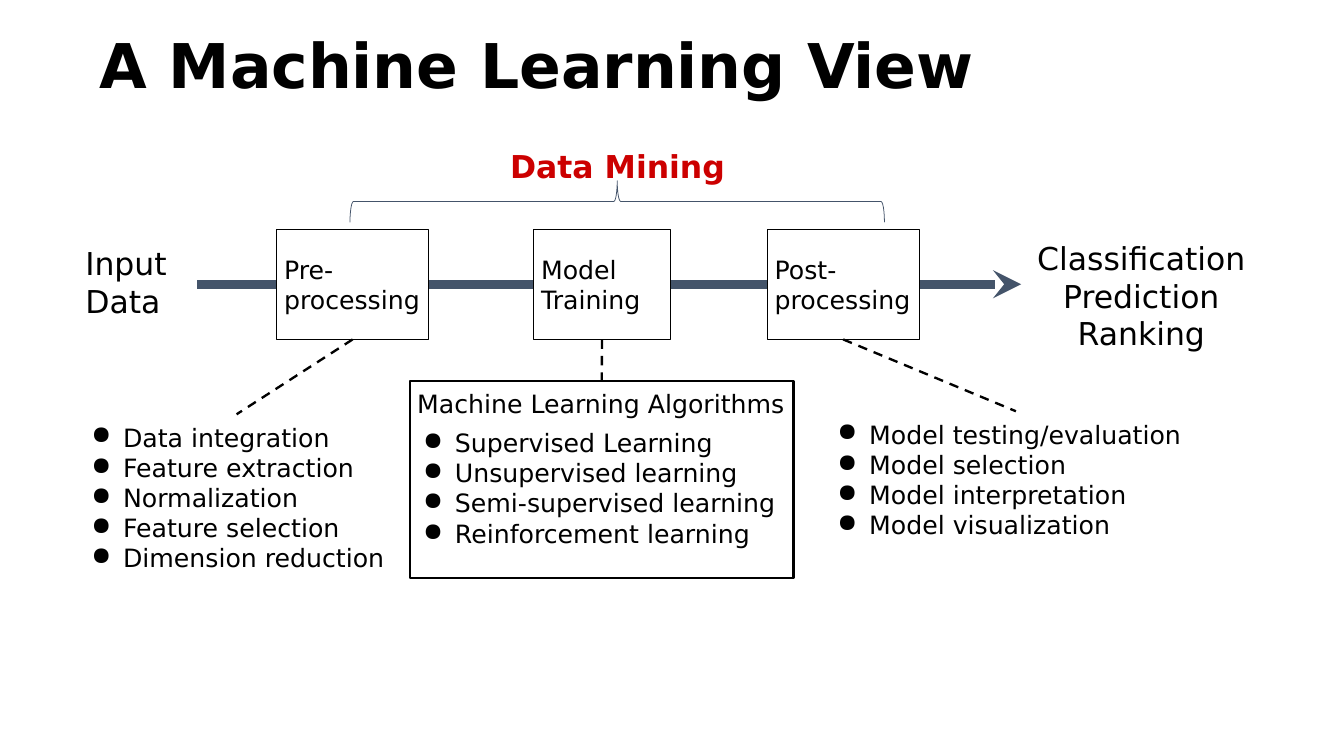
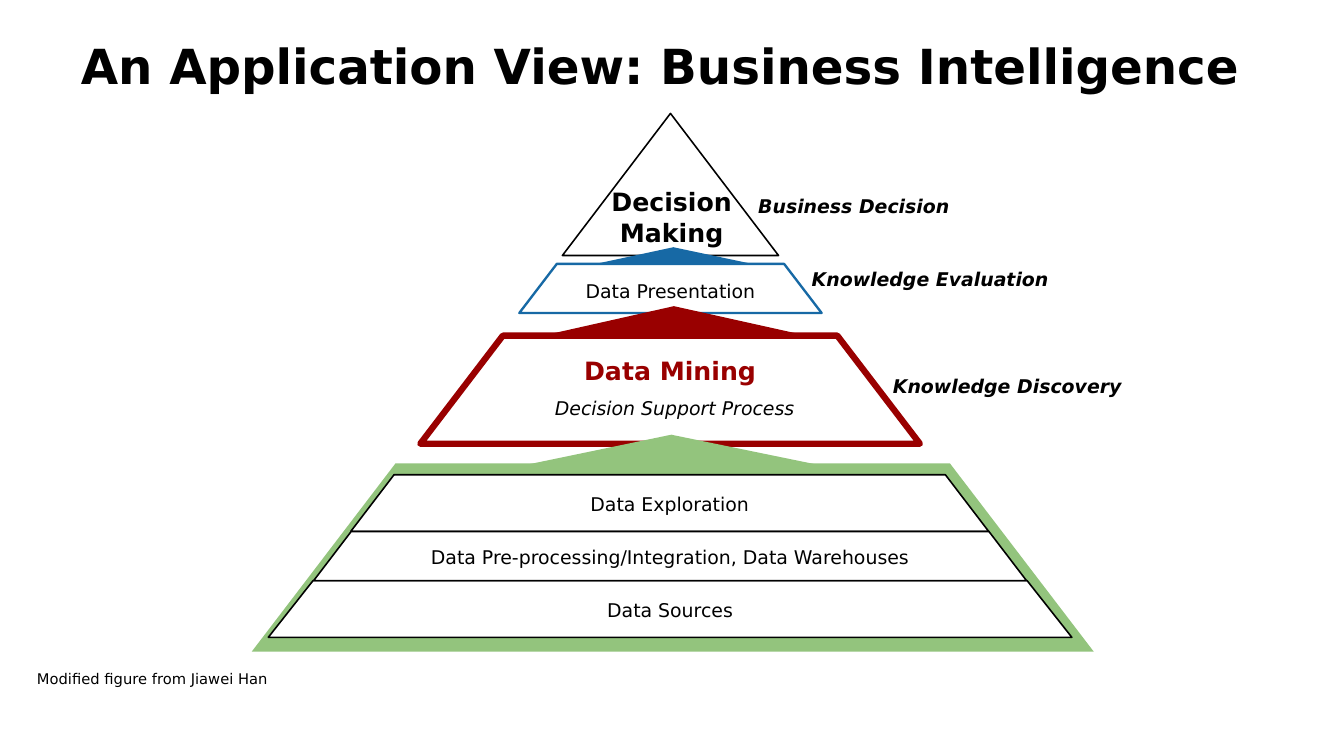
from lxml.etree import SubElement
from pptx import Presentation
from pptx.dml.color import RGBColor
from pptx.enum.dml import MSO_LINE
from pptx.enum.shapes import MSO_CONNECTOR, MSO_SHAPE as SHAPE
from pptx.enum.text import MSO_ANCHOR as ANCHOR, PP_ALIGN as ALIGN
from pptx.oxml.ns import qn
from pptx.util import Pt

PX = 9144
FONT = "DejaVu Sans"
BLACK = RGBColor(0x00, 0x00, 0x00)
WHITE = RGBColor(0xFF, 0xFF, 0xFF)
SLATE = RGBColor(0x44, 0x54, 0x6A)
RED = RGBColor(0xCC, 0x00, 0x00)
DARK_RED = RGBColor(0x99, 0x00, 0x00)
BLUE = RGBColor(0x17, 0x69, 0xA5)
GREEN = RGBColor(0x93, 0xC4, 0x7D)


def emu(*lengths):
    """Turn px lengths into EMU."""
    return [round(v * PX) for v in lengths]


def add_bullet(p):
    """Give a paragraph a hanging round bullet."""
    pPr = p._p.get_or_add_pPr()
    for name, length in {"marL": 50, "indent": -42}.items():
        pPr.set(name, str(length * PX))
    color = SubElement(pPr, qn("a:buClr"))
    SubElement(color, qn("a:srgbClr")).set("val", str(BLACK))
    SubElement(pPr, qn("a:buChar")).set("char", "●")


def write(s, lines, size, color=BLACK, bold=False, italic=False, align=ALIGN.LEFT,
          anchor=ANCHOR.TOP, inset=10, bullets_from=None, spacing=None):
    """Write one paragraph per line, with bullets from the given index on."""
    tf = s.text_frame
    side, edge = emu(10, inset)
    frame = {"word_wrap": True, "vertical_anchor": anchor, "margin_left": side,
             "margin_right": side, "margin_top": edge, "margin_bottom": edge}
    for name, value in frame.items():
        setattr(tf, name, value)
    for i, line in enumerate(lines):
        p = tf.paragraphs[0] if i == 0 else tf.add_paragraph()
        p.text = line
        p.alignment = align
        if spacing:
            p.line_spacing = spacing
        if bullets_from is not None and i >= bullets_from:
            if i and i == bullets_from:
                p.space_before = Pt(8)
            add_bullet(p)
        for r in p.runs:
            for name, value in {"name": FONT, "size": Pt(size), "bold": bold, "italic": italic}.items():
                setattr(r.font, name, value)
            r.font.color.rgb = color


def add_text(slide, box, lines, size, **fmt):
    """Add a text box."""
    s = slide.shapes.add_textbox(*emu(*box))
    write(s, lines, size, **fmt)
    return s


def add_shape(slide, kind, box, fill=None, line=None, width=1, adj=()):
    """Add a preset shape without shadow."""
    s = slide.shapes.add_shape(kind, *emu(*box))
    s.shadow.inherit = False
    for i, value in enumerate(adj):
        s.adjustments[i] = value
    if fill is None:
        s.fill.background()
    else:
        s.fill.solid()
        s.fill.fore_color.rgb = fill
    if line is None:
        s.line.fill.background()
    else:
        s.line.color.rgb = line
        s.line.width = Pt(width)
    return s


def add_line(slide, start, end, color, width):
    """Add a straight connector without shadow."""
    s = slide.shapes.add_connector(MSO_CONNECTOR.STRAIGHT, *emu(*start, *end))
    s.line.color.rgb = color
    s.line.width = Pt(width)
    SubElement(s._element.spPr, qn("a:effectLst"))
    return s


def add_title(slide, box, text, size):
    """Add the slide title."""
    add_text(slide, box, [text], size, bold=True, anchor=ANCHOR.MIDDLE, inset=5, spacing=0.9)


def add_flow(slide, x, y):
    """Draw the arrow from input to output with its stages, and return the stages."""
    source = add_text(slide, (x, y + 15, 158, 116), ["Input Data"], 30, inset=5)
    result = add_text(slide, (x + 1248, y + 8, 318, 130),
                      ["Classification", "Prediction", "Ranking"], 30, align=ALIGN.CENTER, inset=5)
    arrow = add_line(slide, (x + 158, y + 73), (x + 1248, y + 73), SLATE, 9)
    arrow.begin_connect(source, 3)
    arrow.end_connect(result, 1)
    SubElement(arrow.line._get_or_add_ln(), qn("a:tailEnd")).set("type", "stealth")
    stages = []
    for left, width, text in ((263, 201, "Pre-\vprocessing"), (603, 181, "Model\vTraining"),
                              (912, 201, "Post-\vprocessing")):
        s = add_shape(slide, SHAPE.RECTANGLE, (x + left, y, width, 146), WHITE, BLACK, 0.75)
        write(s, [text], 24, anchor=ANCHOR.MIDDLE, inset=5)
        stages.append(s)
    return stages


def add_brace(slide, x, y, w, h):
    """Draw an upward brace filling the box, with its caption above."""
    s = add_shape(slide, SHAPE.LEFT_BRACE, (x + (w - h) / 2, y + (h - w) / 2, h, w),
                  None, SLATE, 0.75, (0.083, 0.5))
    s.rotation = 90
    add_text(slide, (x + w / 2 - 165, y - 49, 331, 49), ["Data Mining"], 30,
             color=RED, bold=True, align=ALIGN.CENTER, inset=5)


def add_details(slide, stages, x, y):
    """List what each stage covers and tie the lists to the stages."""
    algorithms = add_shape(slide, SHAPE.RECTANGLE, (x + 439, y, 508, 261), None, BLACK, 2.25)
    write(algorithms, ["Machine Learning Algorithms", "Supervised Learning", "Unsupervised learning",
                       "Semi-supervised learning", "Reinforcement learning"], 24, bullets_from=1)
    add_text(slide, (x, y + 44, 420, 246),
             ["Data integration", "Feature extraction", "Normalization", "Feature selection",
              "Dimension reduction"], 24, bullets_from=0)
    add_text(slide, (x + 987, y + 40, 508, 202),
             ["Model testing/evaluation", "Model selection", "Model interpretation",
              "Model visualization"], 24, bullets_from=0)
    ends = ((x + 210, y + 44), (x + 693, y), (x + 1241, y + 40))
    ties = [add_line(slide, end, end, BLACK, 2.25) for end in ends]
    for tie, stage in zip(ties, stages):
        tie.line.dash_style = MSO_LINE.DASH
        tie.begin_connect(stage, 2)
    ties[1].end_connect(algorithms, 0)


def add_pyramid(slide, x, y):
    """Draw the tiers, the arrowheads between them and the side labels."""
    plain = {"size": 18, "anchor": ANCHOR.MIDDLE}
    mining = {"size": 24, "color": DARK_RED, "bold": True}
    tiers = (
        ((0, 463, 1114, 249), GREEN, None, 0, 0.764, None, {}),
        ((354, 199, 400, 65), WHITE, BLUE, 2.25, 0.764, "Data Presentation", plain),
        ((223, 294, 661, 143), WHITE, DARK_RED, 6, 0.764, "Data Mining", mining),
        ((22, 618, 1063, 75), WHITE, BLACK, 1.5, 0.789, "Data Sources", plain),
        ((131, 478, 844, 75), WHITE, BLACK, 1.5, 0.764, "Data Exploration", plain),
        ((82, 553, 943, 65), WHITE, BLACK, 1.5, 0.764,
         "Data Pre-processing/Integration, Data Warehouses", plain),
    )
    for (left, top, w, h), fill, line, width, adj, text, fmt in tiers:
        s = add_shape(slide, SHAPE.TRAPEZOID, (x + left, y + top, w, h), fill, line, width, (adj,))
        if text:
            write(s, [text], align=ALIGN.CENTER, **fmt)
    add_shape(slide, SHAPE.ISOSCELES_TRIANGLE, (x + 411, y, 286, 188), WHITE, BLACK, 1.5)
    for (left, top, w, h), fill in (((319, 425, 475, 49), GREEN), ((394, 255, 331, 37), DARK_RED),
                                    ((460, 177, 197, 21), BLUE)):
        add_shape(slide, SHAPE.ISOSCELES_TRIANGLE, (x + left, y + top, w, h), fill, adj=(0.497,))
    label = {"size": 18, "bold": True, "italic": True}
    texts = (
        ((438, 87, 235, 109), "Decision Making", {"size": 24, "bold": True}),
        ((347, 364, 425, 49), "Decision Support Process", {"size": 18, "italic": True}),
        ((657, 98, 279, 49), "Business Decision", label),
        ((727, 194, 341, 49), "Knowledge Evaluation", label),
        ((820, 336, 359, 49), "Knowledge Discovery", label),
    )
    for (left, top, w, h), text, fmt in texts:
        add_text(slide, (x + left, y + top, w, h), [text], align=ALIGN.CENTER, **fmt)


def build_learning_view(slide):
    """Build the machine learning slide."""
    add_title(slide, (122, 36, 1533, 109), "A Machine Learning View", 58.7)
    stages = add_flow(slide, 103, 303)
    add_details(slide, stages, 103, 504)
    add_brace(slide, 463, 239, 707, 55)


def build_application_view(slide):
    """Build the business intelligence slide."""
    add_title(slide, (97, 36, 1599, 109), "An Application View: Business Intelligence", 46)
    add_pyramid(slide, 333, 150)
    add_text(slide, (39, 876, 341, 37), ["Modified figure from Jiawei Han"], 14)


def main():
    """Build and save the presentation."""
    prs = Presentation()
    prs.slide_width, prs.slide_height = emu(1778, 1000)
    for build in (build_learning_view, build_application_view):
        build(prs.slides.add_slide(prs.slide_layouts[6]))
    prs.save("out.pptx")


if __name__ == "__main__":
    main()
